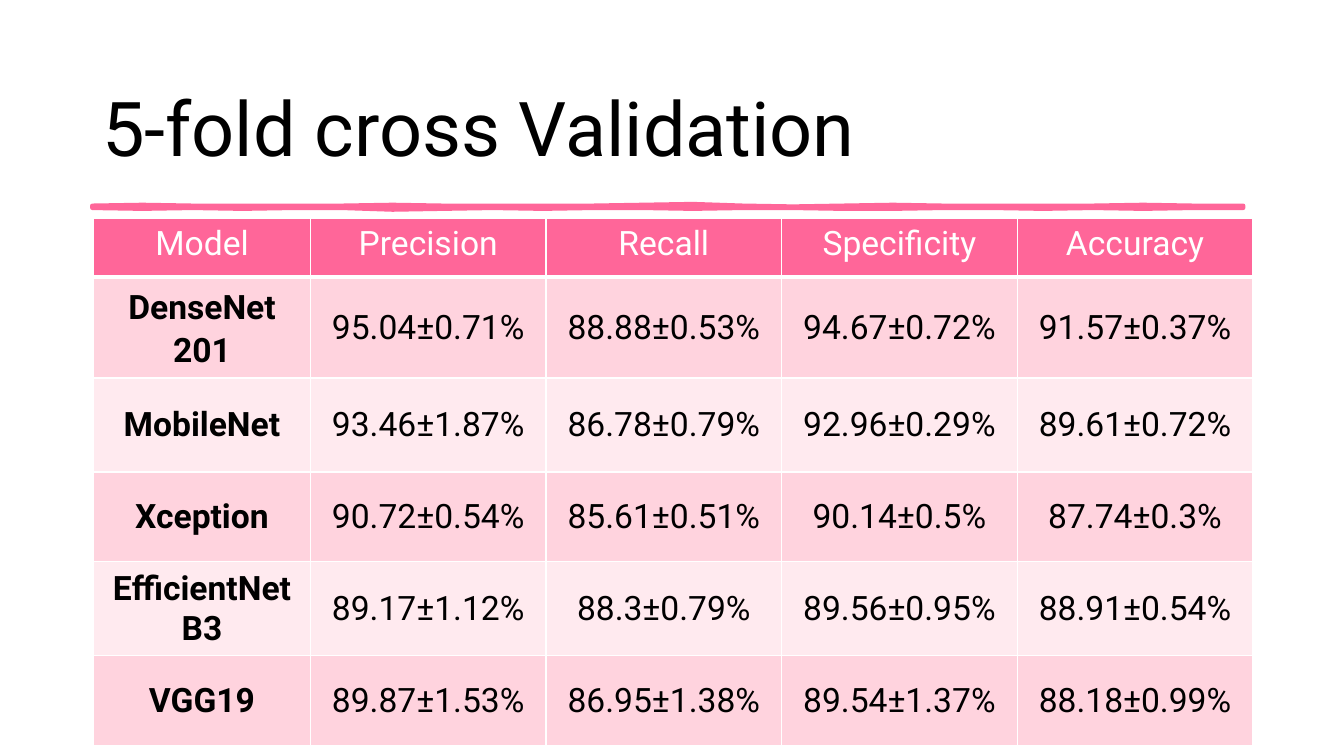
from lxml.etree import SubElement
from pptx import Presentation
from pptx.dml.color import RGBColor as Rgb
from pptx.enum.text import MSO_ANCHOR as Anchor, PP_ALIGN as Align
from pptx.oxml.ns import qn
from pptx.util import Emu, Pt

UNIT = 76200  # the slide is a grid of 160 columns by 90 rows
COLS, ROWS = 160, 90
FONT = "Roboto"
HUES = {"ink": "000000", "white": "FFFFFF", "pink": "FF6699",
        "odd": "FFD3DE", "even": "FFEAEF"}

HEAD = ["Model", "Precision", "Recall", "Specificity", "Accuracy"]
SCORES = [
    ["DenseNet 201", "95.04±0.71%", "88.88±0.53%", "94.67±0.72%", "91.57±0.37%"],
    ["MobileNet", "93.46±1.87%", "86.78±0.79%", "92.96±0.29%", "89.61±0.72%"],
    ["Xception", "90.72±0.54%", "85.61±0.51%", "90.14±0.5%", "87.74±0.3%"],
    ["EfficientNet B3", "89.17±1.12%", "88.3±0.79%", "89.56±0.95%", "88.91±0.54%"],
    ["VGG19", "89.87±1.53%", "86.95±1.38%", "89.54±1.37%", "88.18±0.99%"],
]
WIDTHS = [25.8] + [28.05] * 4
HEIGHTS = [7, 11.8, 11.2, 10.7, 11.2, 10.7]

# Wobble of the rule's edges at even steps, in tenths of a row
TOP = [0, -1, 0, 0, 0, 0, -1, 0, 0, 0, 0, -1, -2, 0, 1, 0, -1, 0, 0, 0, 0, -1, 0, 0]
LOW = [0, 1, 0, 1, 0, 0, 2, 1, 0, 1, 0, 0, 1, 0, 0, 1, 1, 0, 0, 1, 0, 1, 0, 0]


def grid(count):
    return Emu(round(count * UNIT))


def hue(name):
    return Rgb.from_string(HUES[name])


def write(frame, text, size, color, bold=False, align=Align.LEFT, space=None):
    frame.word_wrap = True
    para = frame.paragraphs[0]
    para.alignment = align
    para.line_spacing = space
    run = para.add_run()
    run.text = text
    font = run.font
    font.name, font.size, font.bold = FONT, Pt(size), bold
    font.color.rgb = hue(color)


def title(slide, text):
    box = slide.shapes.add_textbox(grid(11), grid(9.2), grid(138), grid(13))
    box.text_frame.vertical_anchor = Anchor.MIDDLE
    write(box.text_frame, text, 54, "ink", space=0.9)


def rule(slide, left, top, width):
    """Draw a thin brush stroke with uneven edges."""
    step = width / (len(TOP) - 1)
    upper = [(left + i * step, top + d / 10) for i, d in enumerate(TOP)]
    lower = [(left + i * step, top + 0.24 + d / 10) for i, d in enumerate(LOW)]
    dots = [(grid(x), grid(y)) for x, y in upper + lower[::-1]]
    pen = slide.shapes.build_freeform(*dots[0])
    pen.add_line_segments(dots[1:])
    stroke = pen.convert_to_shape()
    stroke.shadow.inherit = False
    stroke.fill.solid()
    stroke.fill.fore_color.rgb = hue("pink")
    stroke.line.color.rgb = hue("pink")
    stroke.line.width = Pt(3.25)
    SubElement(stroke.line._get_or_add_ln(), qn("a:round"))


def border(cell, row):
    """Add white edges, with a heavy one under the header row."""
    props = cell._tc.get_or_add_tcPr()
    for side in "LRTB":
        heavy = (row, side) in ((0, "B"), (1, "T"))
        edge = SubElement(props, qn(f"a:ln{side}"), w=str(Pt(3 if heavy else 1)))
        fill = SubElement(edge, qn("a:solidFill"))
        SubElement(fill, qn("a:srgbClr"), val=HUES["white"])


def style(cell, row, col, text):
    border(cell, row)
    cell.fill.solid()
    tint = "pink" if row == 0 else "odd" if row % 2 else "even"
    cell.fill.fore_color.rgb = hue(tint)
    cell.margin_left = cell.margin_right = grid(1.44)
    cell.margin_top = cell.margin_bottom = grid(0.72)
    cell.vertical_anchor = Anchor.MIDDLE if row else Anchor.TOP
    write(cell.text_frame, text, 24, "ink" if row else "white",
          bold=row > 0 and col == 0, align=Align.CENTER,
          space=1.1 if (row, col) == (1, 0) else None)


def table(slide, left, top, data):
    frame = slide.shapes.add_table(len(data), len(HEAD), grid(left), grid(top),
                                   grid(sum(WIDTHS)), grid(sum(HEIGHTS)))
    body = frame.table
    body.horz_banding = False
    for col, width in zip(body.columns, WIDTHS):
        col.width = grid(width)
    for row, height in zip(body.rows, HEIGHTS):
        row.height = grid(height)
    for r, line in enumerate(data):
        for c, text in enumerate(line):
            style(body.cell(r, c), r, c, text)


def main():
    deck = Presentation()
    deck.slide_width, deck.slide_height = grid(COLS), grid(ROWS)
    slide = deck.slides.add_slide(deck.slide_layouts[6])
    title(slide, "5-fold cross Validation")
    rule(slide, 11, 24.5, 137)
    table(slide, 11.15, 26, [HEAD] + SCORES)
    deck.save("out.pptx")


if __name__ == "__main__":
    main()
